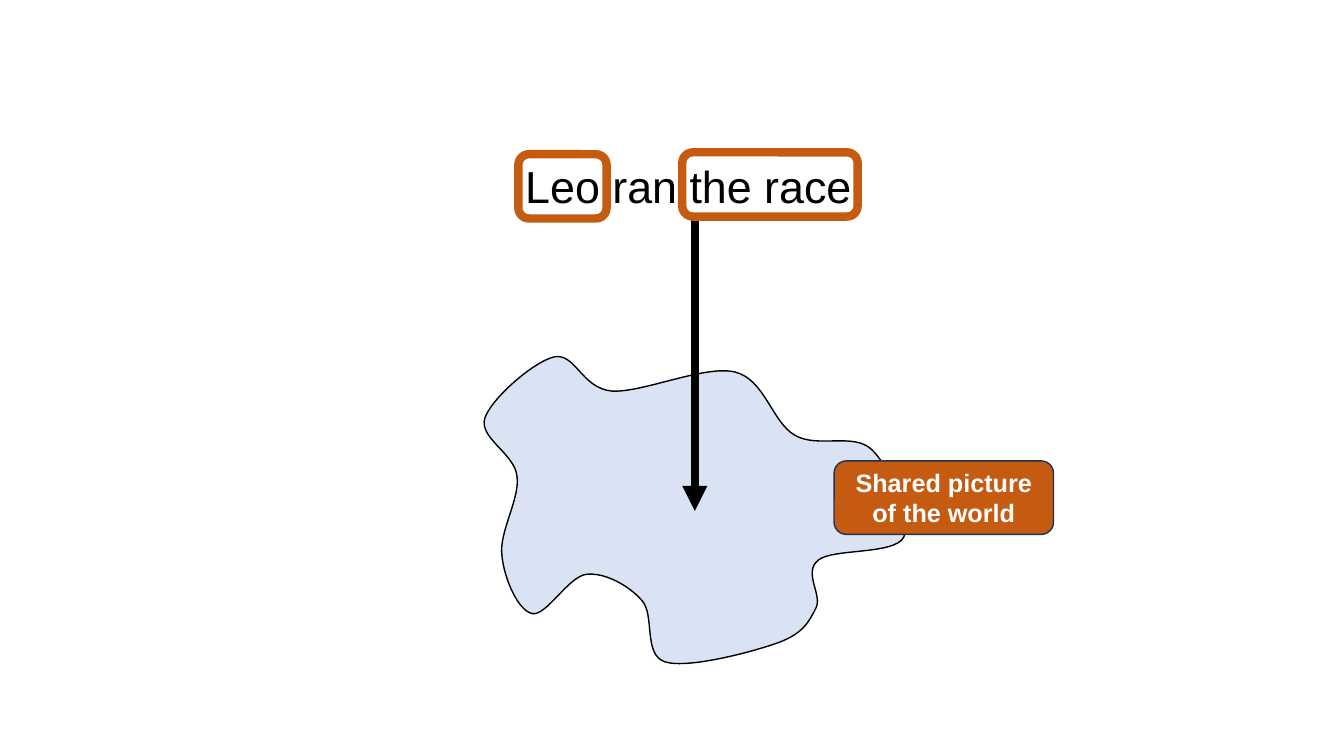
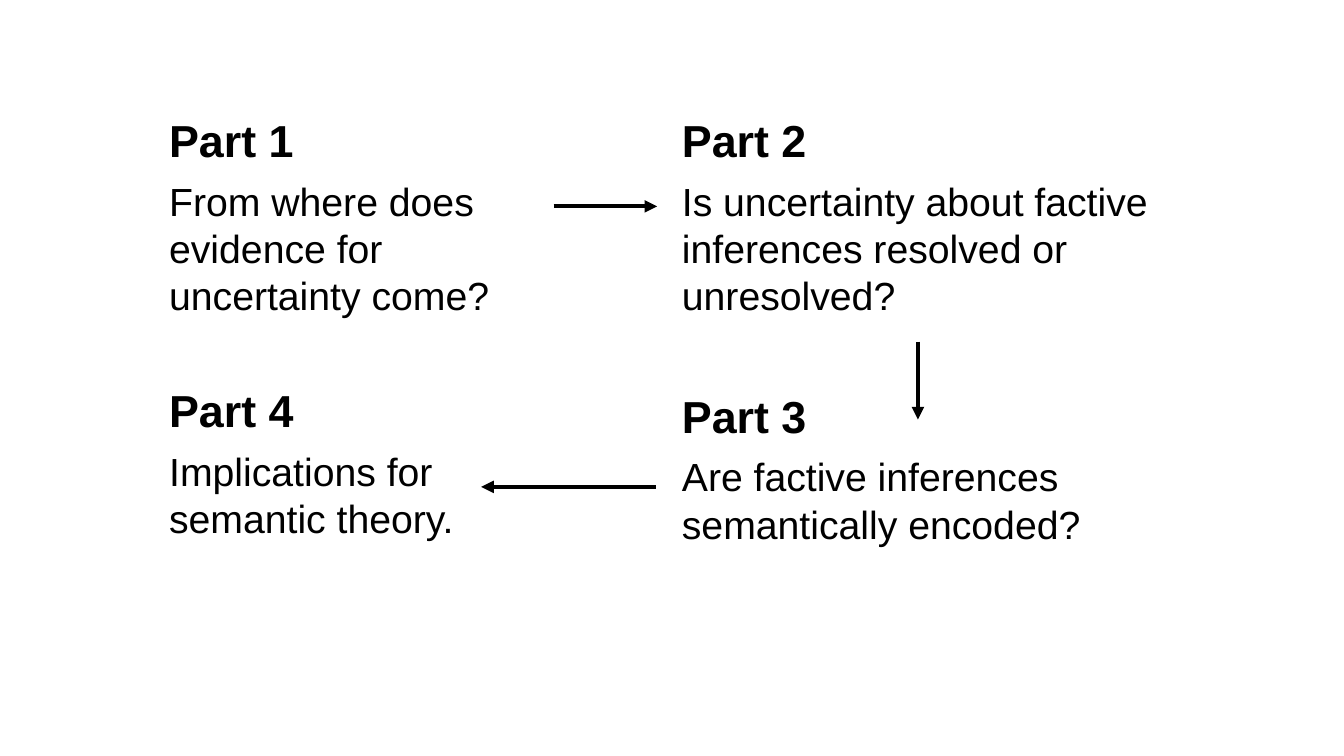
from typing import NamedTuple

from lxml import etree
from pptx import Presentation
from pptx import util as u
from pptx.dml.color import RGBColor
from pptx.enum import shapes, text
from pptx.oxml.ns import qn

WIDTH, HEIGHT = 13.33, 7.5
FONT = "Arial"
COLORS = {
    "ink": "000000",
    "paper": "FFFFFF",
    "accent": "C55A11",
    "label_edge": "1E3256",
    "world": "DAE3F3",
}
HEADING_HEIGHT = 0.64

# World outline on a 419 x 304 grid: a start, then Bezier triples
WORLD_GRID = 419
WORLD_START = (127, 34)
WORLD_CURVES = [
    (157, 36), (219, 8), (249, 15),
    (279, 22), (286, 65), (309, 78),
    (332, 91), (367, 75), (385, 92),
    (403, 109), (426, 160), (417, 179),
    (408, 197), (346, 190), (332, 202),
    (317, 214), (336, 236), (330, 249),
    (323, 263), (317, 275), (292, 284),
    (267, 293), (203, 310), (180, 303),
    (158, 296), (170, 256), (157, 242),
    (144, 227), (120, 214), (102, 216),
    (84, 218), (62, 258), (48, 255),
    (34, 252), (20, 220), (18, 197),
    (15, 174), (36, 141), (33, 119),
    (31, 96), (-5, 81), (1, 61),
    (7, 42), (49, 5), (70, 0),
    (91, -4), (97, 31), WORLD_START,
]


class Box(NamedTuple):
    """A region in inches."""
    left: float
    top: float
    width: float
    height: float

    def point(self, x, y):
        """Return the place at the given shares of the box."""
        return self.left + x * self.width, self.top + y * self.height

    def inner(self, x, y, width, height):
        """Return a box given as shares of this one."""
        return Box(*self.point(x, y), width * self.width, height * self.height)

    def emu(self):
        return [u.Inches(length) for length in self]


PAGE = Box(0, 0, WIDTH, HEIGHT)


def color(name):
    return RGBColor.from_string(COLORS[name])


def write(shape, content, size, ink="ink", bold=False, align=text.PP_ALIGN.LEFT,
          anchor=text.MSO_ANCHOR.TOP, wrap=True):
    frame = shape.text_frame
    frame.word_wrap = wrap
    frame.vertical_anchor = anchor
    paragraph = frame.paragraphs[0]
    paragraph.text = content
    paragraph.alignment = align
    font = paragraph.font
    font.name, font.size, font.bold = FONT, u.Pt(size), bold
    font.color.rgb = color(ink)


def add_text(slide, box, content, size, **style):
    write(slide.shapes.add_textbox(*box.emu()), content, size, **style)


def paint(shape, line, weight, fill=None):
    shape.shadow.inherit = False
    if fill:
        shape.fill.solid()
        shape.fill.fore_color.rgb = color(fill)
    else:
        shape.fill.background()
    shape.line.color.rgb = color(line)
    shape.line.width = u.Pt(weight)


def add_round_box(slide, box, **look):
    shape = slide.shapes.add_shape(
        shapes.MSO_SHAPE.ROUNDED_RECTANGLE, *box.emu())
    paint(shape, **look)
    return shape


def add_arrow(slide, start, end, weight):
    connector = slide.shapes.add_connector(
        shapes.MSO_CONNECTOR.STRAIGHT,
        *(u.Inches(length) for length in (*start, *end)))
    connector.line.color.rgb = color("ink")
    connector.line.width = u.Pt(weight)
    properties = connector._element.spPr
    etree.SubElement(properties.find(qn("a:ln")), qn("a:tailEnd"), type="triangle")
    etree.SubElement(properties, qn("a:effectLst"))


def add_world(slide, box):
    """Draw the smooth outline and its label."""
    builder = slide.shapes.build_freeform(
        *WORLD_START, scale=u.Inches(box.width) / WORLD_GRID)
    builder.add_line_segments(WORLD_CURVES, close=True)
    world = builder.convert_to_shape(u.Inches(box.left), u.Inches(box.top))
    # Merge each three line segments into one Bezier curve
    segments = list(world._element.iter(qn("a:lnTo")))
    for first in range(0, len(segments), 3):
        triple = segments[first:first + 3]
        curve = etree.Element(qn("a:cubicBezTo"))
        triple[0].addprevious(curve)
        for segment in triple:
            curve.append(segment[0])
            segment.getparent().remove(segment)
    paint(world, "ink", 1, fill="world")

    label = add_round_box(slide, box.inner(0.83, 0.34, 0.52, 0.24),
                          line="label_edge", weight=1, fill="accent")
    write(label, "Shared picture of the world", 18, ink="paper", bold=True,
          align=text.PP_ALIGN.CENTER, anchor=text.MSO_ANCHOR.MIDDLE)


def add_sentence_slide(slide, page):
    sentence = page.inner(0.383, 0.204, 0.268, 0.085)
    add_text(slide, sentence, "Leo ran the race.", 32,
             align=text.PP_ALIGN.CENTER, wrap=False)
    add_world(slide, page.inner(0.36, 0.472, 0.314, 0.405))
    # Arrow from the sentence into the world
    add_arrow(slide, sentence.point(0.5, 1), page.point(0.517, 0.676), 6)
    # Frames around the referring words
    for left, top, width in [(0.01, 0, 0.245), (0.465, -0.03, 0.487)]:
        add_round_box(slide, sentence.inner(left, top, width, 1),
                      line="accent", weight=6)


def add_part(slide, box, heading, question):
    add_text(slide, box._replace(height=HEADING_HEIGHT), heading, 32, bold=True)
    body = box._replace(top=box.top + HEADING_HEIGHT,
                        height=box.height - HEADING_HEIGHT)
    add_text(slide, body, question, 28)


def add_outline_slide(slide, page):
    left, right = 0.1185, 0.5
    narrow, wide = 0.293, 0.39
    parts = [
        (left, 0.143, narrow, 0.287, "From where does evidence for uncertainty come?"),
        (right, 0.143, wide, 0.287,
         "Is uncertainty about factive inferences resolved or unresolved?"),
        (right, 0.507, wide, 0.224, "Are factive inferences semantically encoded?"),
        (left, 0.5, narrow, 0.224, "Implications for semantic theory."),
    ]
    for number, (*shares, question) in enumerate(parts, 1):
        add_part(slide, page.inner(*shares), f"Part {number}", question)
    # Arrows lead clockwise from part to part
    for start, end in [((0.412, 0.273), (0.489, 0.273)),
                       ((0.683, 0.452), (0.683, 0.555)),
                       ((0.488, 0.644), (0.358, 0.644))]:
        add_arrow(slide, page.point(*start), page.point(*end), 3)


def main():
    presentation = Presentation()
    presentation.slide_width = u.Inches(WIDTH)
    presentation.slide_height = u.Inches(HEIGHT)
    blank = presentation.slide_layouts[6]
    for build in (add_sentence_slide, add_outline_slide):
        build(presentation.slides.add_slide(blank), PAGE)
    presentation.save("out.pptx")


if __name__ == "__main__":
    main()
